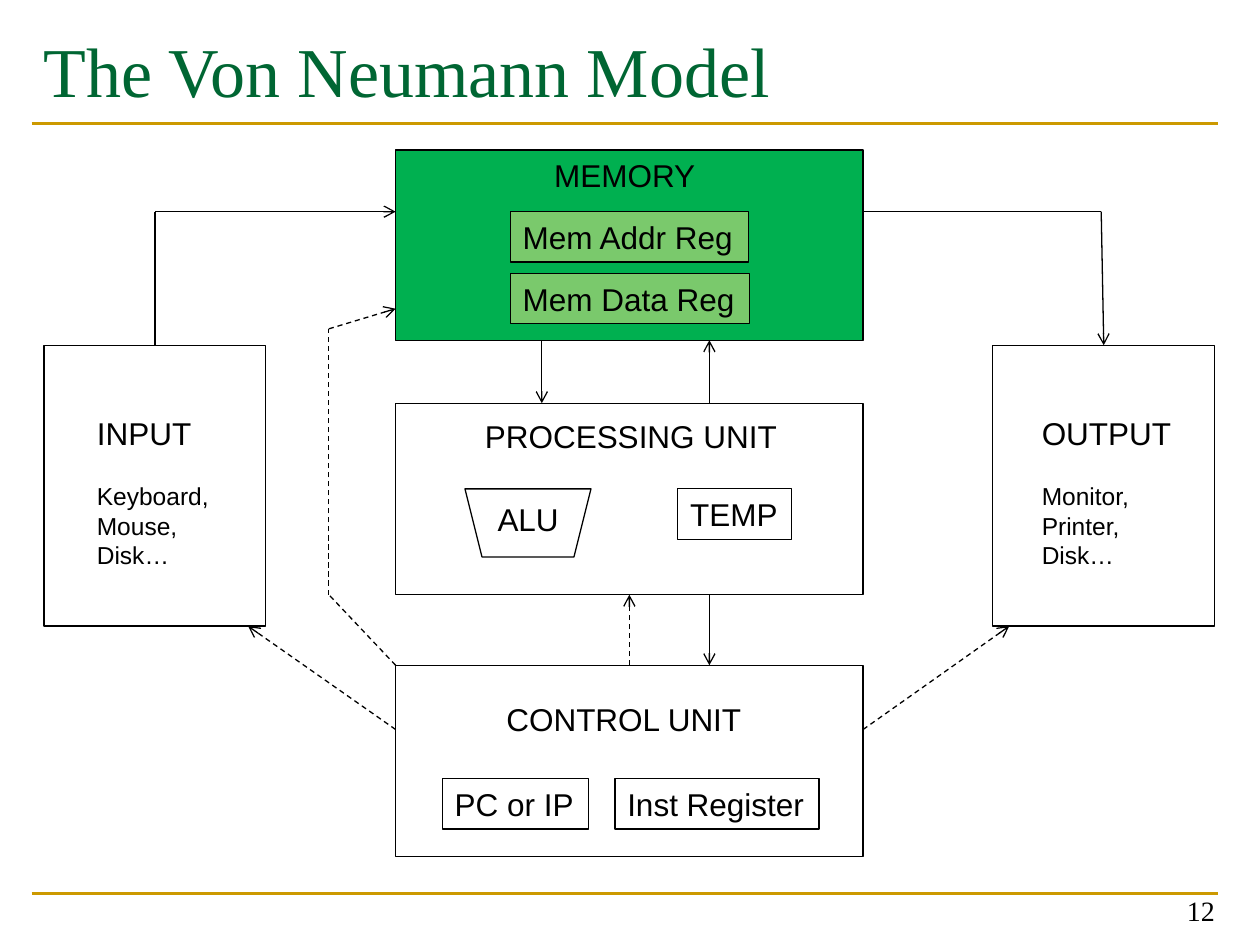
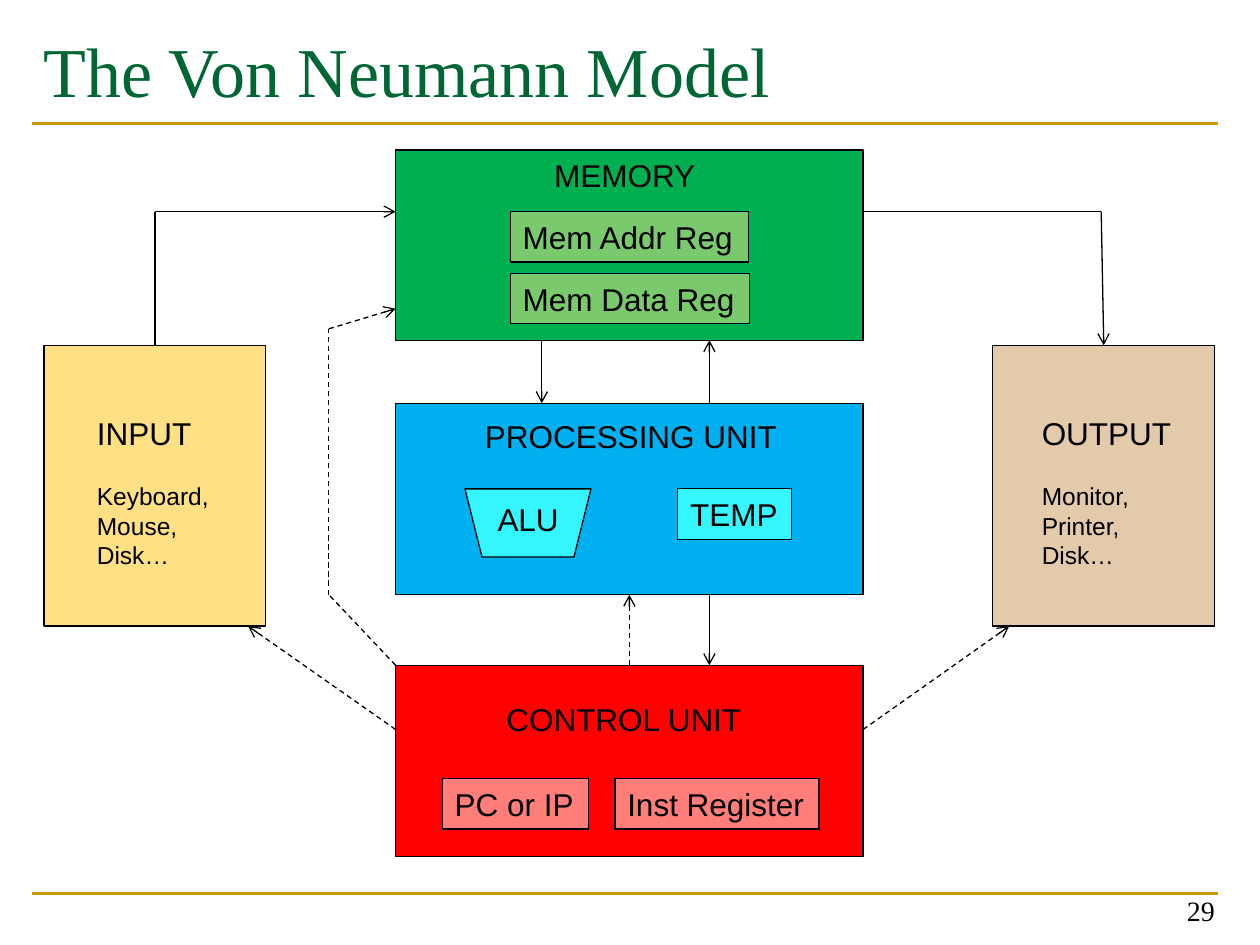
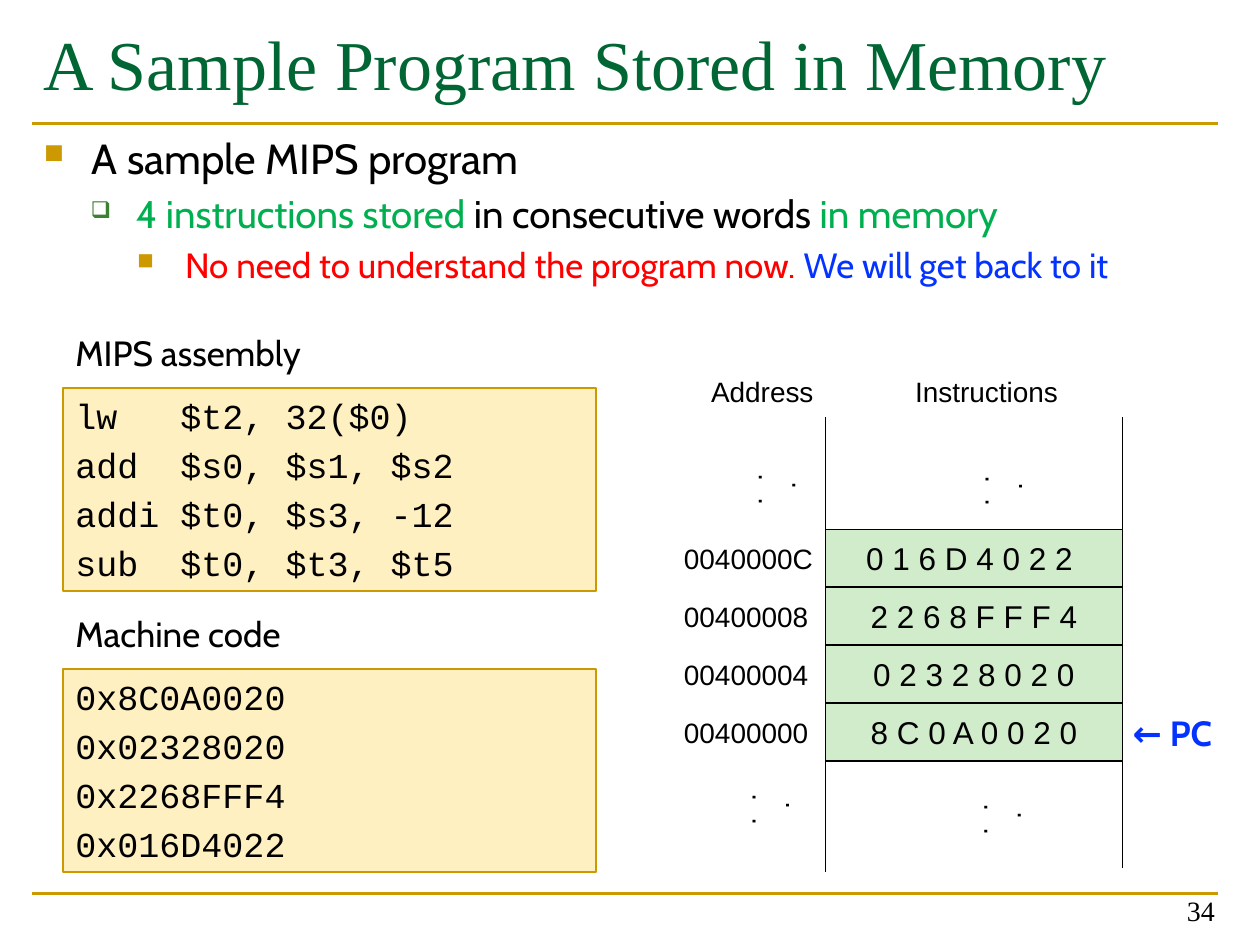
from lxml.etree import SubElement
from pptx import Presentation
from pptx.dml.color import RGBColor
from pptx.enum.dml import MSO_LINE
from pptx.enum.shapes import MSO_CONNECTOR, MSO_SHAPE
from pptx.enum.text import MSO_ANCHOR, PP_ALIGN
from pptx.oxml.ns import qn
from pptx.util import Inches, Pt

BLACK = RGBColor(0x00, 0x00, 0x00)
GOLD = RGBColor(0xCC, 0x99, 0x00)
TITLE_GREEN = RGBColor(0x00, 0x66, 0x33)
BULLET_GREEN = RGBColor(0x3B, 0x81, 0x2F)
GREEN = RGBColor(0x00, 0xB0, 0x50)
LIGHT_GREEN = RGBColor(0x7A, 0xC9, 0x6C)
PALE_GREEN = RGBColor(0xD0, 0xEC, 0xCB)
RED = RGBColor(0xFF, 0x00, 0x00)
LIGHT_RED = RGBColor(0xFF, 0x7E, 0x79)
SKY = RGBColor(0x00, 0xB0, 0xF0)
CYAN = RGBColor(0x35, 0xF6, 0xFF)
YELLOW = RGBColor(0xFF, 0xE0, 0x85)
TAN = RGBColor(0xE2, 0xCA, 0xAA)
CREAM = RGBColor(0xFF, 0xF0, 0xC2)
BLUE = RGBColor(0x04, 0x32, 0xFF)


def add_box(page, at, lines=(), size=18, font="Arial", color=BLACK, shape=None,
            fill=None, line=BLACK, weight=0.75, align=PP_ALIGN.LEFT,
            anchor=MSO_ANCHOR.TOP, wrap=True, gap=0):
    """Add a text box, or a preset shape if one is named, with one paragraph a line."""
    place = [Inches(length) for length in at]
    if shape is None:
        box = page.shapes.add_textbox(*place)
    else:
        box = page.shapes.add_shape(shape, *place)
        box.shadow.inherit = False
        box.line.color.rgb = line
        box.line.width = Pt(weight)
        if fill is None:
            box.fill.background()
        else:
            box.fill.solid()
            box.fill.fore_color.rgb = fill
    frame = box.text_frame
    frame.text = "\n".join(lines)
    frame.word_wrap = wrap
    frame.vertical_anchor = anchor
    for index, paragraph in enumerate(frame.paragraphs):
        paragraph.alignment = align
        if index and gap:
            paragraph.space_before = Pt(gap)
        paragraph.font.size = Pt(size)
        paragraph.font.name = font
        paragraph.font.color.rgb = color
    return box


def add_line(page, start, end, color=BLACK, weight=0.75, arrow=False, dashed=False):
    points = [Inches(length) for length in (*start, *end)]
    connector = page.shapes.add_connector(MSO_CONNECTOR.STRAIGHT, *points)
    connector.line.color.rgb = color
    connector.line.width = Pt(weight)
    if dashed:
        connector.line.dash_style = MSO_LINE.DASH
    properties = connector._element.spPr
    if arrow:
        SubElement(properties.find(qn("a:ln")), qn("a:tailEnd"), type="arrow")
    SubElement(properties, qn("a:effectLst"))
    return connector


deck = Presentation()
deck.slide_width = Inches(10)
deck.slide_height = Inches(7.5)

# Shared frame: rules, title and page number
MODEL_TITLE = ("The Von Neumann Model", (0.25, 0.17, 9.75, 1.17), MSO_ANCHOR.TOP)
PROGRAM_TITLE = ("A Sample Program Stored in Memory", (0.25, 0, 9.42, 1), MSO_ANCHOR.MIDDLE)
pages = []
for (title, title_at, title_anchor), number in (
        (MODEL_TITLE, "12"), (MODEL_TITLE, "29"), (PROGRAM_TITLE, "34")):
    page = deck.slides.add_slide(deck.slide_layouts[6])
    for y in (7.09, 0.98):
        add_line(page, (0.25, y), (9.67, y), GOLD, 1.5)
    add_box(page, title_at, [title], 40, "Times New Roman", TITLE_GREEN, anchor=title_anchor)
    add_box(page, (7.41, 6.91, 2.33, 0.5), [number], 16, "Times New Roman",
            align=PP_ALIGN.RIGHT, anchor=MSO_ANCHOR.BOTTOM)
    pages.append(page)
plain_page, colored_page, program_page = pages

# Von Neumann model, first with only the memory coloured, then in full colour
UNITS = {
    "control": ((3.14, 5.28, 3.71, 1.52), RED),
    "processing": ((3.14, 3.2, 3.71, 1.52), SKY),
    "memory": ((3.14, 1.19, 3.71, 1.51), GREEN),
    "input": ((0.35, 2.74, 1.76, 2.23), YELLOW),
    "output": ((7.88, 2.74, 1.76, 2.23), TAN),
}
REGISTERS = [
    ("PC or IP", (3.51, 6.18, 1.16, 0.4), LIGHT_RED),
    ("Inst Register", (4.88, 6.18, 1.62, 0.4), LIGHT_RED),
    ("TEMP", (5.38, 3.88, 0.9, 0.4), CYAN),
    ("Mem Addr Reg", (4.05, 1.68, 1.89, 0.4), LIGHT_GREEN),
    ("Mem Data Reg", (4.05, 2.17, 1.9, 0.4), LIGHT_GREEN),
]
LABELS = [
    ("CONTROL UNIT", (3.92, 5.51, 2.09, 0.4)),
    ("PROCESSING UNIT", (3.75, 3.26, 2.54, 0.4)),
    ("ALU", (3.85, 3.92, 0.69, 0.4)),
    ("MEMORY", (4.3, 1.19, 1.33, 0.4)),
]
DEVICES = [
    (("INPUT", "Keyboard,", "Mouse,", "Disk…"), (0.67, 3.24, 1.09, 1.35)),
    (("OUTPUT", "Monitor,", "Printer,", "Disk…"), (8.17, 3.24, 1.24, 1.35)),
]
# Points of each path; the last segment carries the arrowhead
DATA_PATHS = [
    [(4.3, 2.7), (4.3, 3.2)],
    [(5.63, 3.2), (5.63, 2.7)],
    [(5.63, 4.72), (5.63, 5.28)],
]
CONTROL_PATHS = [
    [(3.14, 5.79), (1.97, 4.97)],
    [(6.85, 5.79), (8.01, 4.97)],
    [(3.14, 5.28), (2.61, 4.72), (2.61, 2.61), (3.14, 2.45)],
]
for page in (plain_page, colored_page):
    full_color = page is colored_page
    units = {}
    for name, (at, fill) in UNITS.items():
        shown = fill if full_color or fill == GREEN else None
        units[name] = add_box(page, at, shape=MSO_SHAPE.RECTANGLE, fill=shown)
    alu = add_box(page, (3.69, 3.88, 1, 0.54), shape=MSO_SHAPE.TRAPEZOID,
                  fill=CYAN if full_color else None)
    alu.rotation = 180
    for text, at, fill in REGISTERS:
        shown = fill if full_color or fill == LIGHT_GREEN else None
        add_box(page, at, [text], shape=MSO_SHAPE.RECTANGLE, fill=shown, wrap=False)
    for text, at in LABELS:
        add_box(page, at, [text], wrap=False)
    for lines, at in DEVICES:
        heading, first, *others = add_box(page, at, lines, 14, wrap=False).text_frame.paragraphs
        heading.font.size = Pt(18)
        first.space_before = Pt(16.5)

    for paths, dashed in ((DATA_PATHS, False), (CONTROL_PATHS, True)):
        for points in paths:
            for start, end in zip(points, points[1:]):
                add_line(page, start, end, arrow=end == points[-1], dashed=dashed)
    from_input = add_line(page, (1.23, 2.74), (1.23, 1.68))
    from_input.begin_connect(units["input"], 0)
    add_line(page, (1.23, 1.68), (3.14, 1.68), arrow=True)
    add_line(page, (6.85, 1.68), (8.74, 1.68))
    to_output = add_line(page, (8.74, 1.68), (8.76, 2.74), arrow=True)
    to_output.end_connect(units["output"], 0)
    to_processing = add_line(page, (5, 5.28), (5, 4.72), arrow=True, dashed=True)
    to_processing.begin_connect(units["control"], 0)
    to_processing.end_connect(units["processing"], 2)

# Sample program: bullets
BULLETS = [
    # spans, size, left indent, hanging indent, symbol, symbol colour, symbol percent
    ([("A sample MIPS program", BLACK)], 24, 0.38, 0.38, "■", GOLD, 65),
    ([("4 instructions stored", GREEN), (" in consecutive words ", BLACK),
      ("in memory", GREEN)], 22, 0.73, 0.36, "❑", BULLET_GREEN, 60),
    ([("No need to understand the program now. ", RED),
      ("We will get back to it", BLUE)], 20, 1.12, 0.38, "■", GOLD, 65),
]
body = add_box(program_page, (0.25, 1, 9.42, 6.08)).text_frame
for level, (spans, size, left, hanging, symbol, symbol_color, percent) in enumerate(BULLETS):
    paragraph = body.add_paragraph() if level else body.paragraphs[0]
    paragraph.level = level
    if level:
        paragraph.space_before = Pt(4.2)
    properties = paragraph._p.get_or_add_pPr()
    properties.set("marL", str(Inches(left)))
    properties.set("indent", str(-Inches(hanging)))
    bullet_color = SubElement(properties, qn("a:buClr"))
    SubElement(bullet_color, qn("a:srgbClr"), val=str(symbol_color))
    SubElement(properties, qn("a:buSzPct"), val=str(percent * 1000))
    SubElement(properties, qn("a:buChar"), char=symbol)
    for text, color in spans:
        span = paragraph.add_run()
        span.text = text
        span.font.size = Pt(size)
        span.font.name = "Cabin"
        span.font.color.rgb = color

# Sample program: code listings
LISTINGS = [
    ("MIPS assembly", 2.58, ["lw   $t2, 32($0)", "add  $s0, $s1, $s2",
                             "addi $t0, $s3, -12", "sub  $t0, $t3, $t5"]),
    ("Machine code", 4.81, ["0x8C0A0020", "0x02328020", "0x2268FFF4", "0x016D4022"]),
]
for heading, top, code in LISTINGS:
    add_box(program_page, (0.5, top + 0.5, 4.23, 1.61), code, 20, "Courier New",
            shape=MSO_SHAPE.RECTANGLE, fill=CREAM, line=GOLD, weight=1, gap=4)
    add_box(program_page, (0.5, top, 4.23, 0.5), [heading], 20, "Cabin")

# Sample program: memory column
MEMORY_LEFT, MEMORY_WIDTH, MEMORY_TOP, WORD_HEIGHT = 6.55, 2.36, 4.2, 0.46
WORDS = [("0040000C", "0 1 6 D 4 0 2 2 "), ("00400008", "2 2 6 8 F F F 4"),
         ("00400004", "0 2 3 2 8 0 2 0"), ("00400000", "8 C 0 A 0 0 2 0")]
for x, lower_top in ((MEMORY_LEFT, 6.03), (MEMORY_LEFT + MEMORY_WIDTH, 6)):
    for top in (3.31, lower_top):
        add_line(program_page, (x, top), (x, top + 0.89))
for row, (address, word) in enumerate(WORDS):
    top = MEMORY_TOP + row * WORD_HEIGHT
    add_box(program_page, (MEMORY_LEFT, top, MEMORY_WIDTH, WORD_HEIGHT), [word],
            shape=MSO_SHAPE.RECTANGLE, fill=PALE_GREEN, align=PP_ALIGN.CENTER,
            anchor=MSO_ANCHOR.MIDDLE)
    address_box = add_box(program_page, (5.33, top + 0.05, 1.23, 0.37), [address], 16, wrap=False)
    address_box.text_frame.margin_right = 0
for heading, left, width in (("Address", 5.45, 1.2), ("Instructions", 7.1, 1.46)):
    add_box(program_page, (left, 2.92, width, 0.37), [heading], 16, align=PP_ALIGN.CENTER)
for left, top in ((5.68, 3.76), (7.48, 3.77), (5.63, 6.3), (7.47, 6.38)):
    dots = add_box(program_page, (left, top, 0.44, 0.25), [".  .  ."], 16, align=PP_ALIGN.CENTER)
    dots.rotation = 270
    dots.text_frame.margin_left = dots.text_frame.margin_right = Inches(0.07)
counter = add_box(program_page, (8.89, 5.6, 1.05, 0.5), ["← PC"], 20, "Cabin", BLUE)
counter.text_frame.paragraphs[0].font.bold = True

deck.save("out.pptx")
